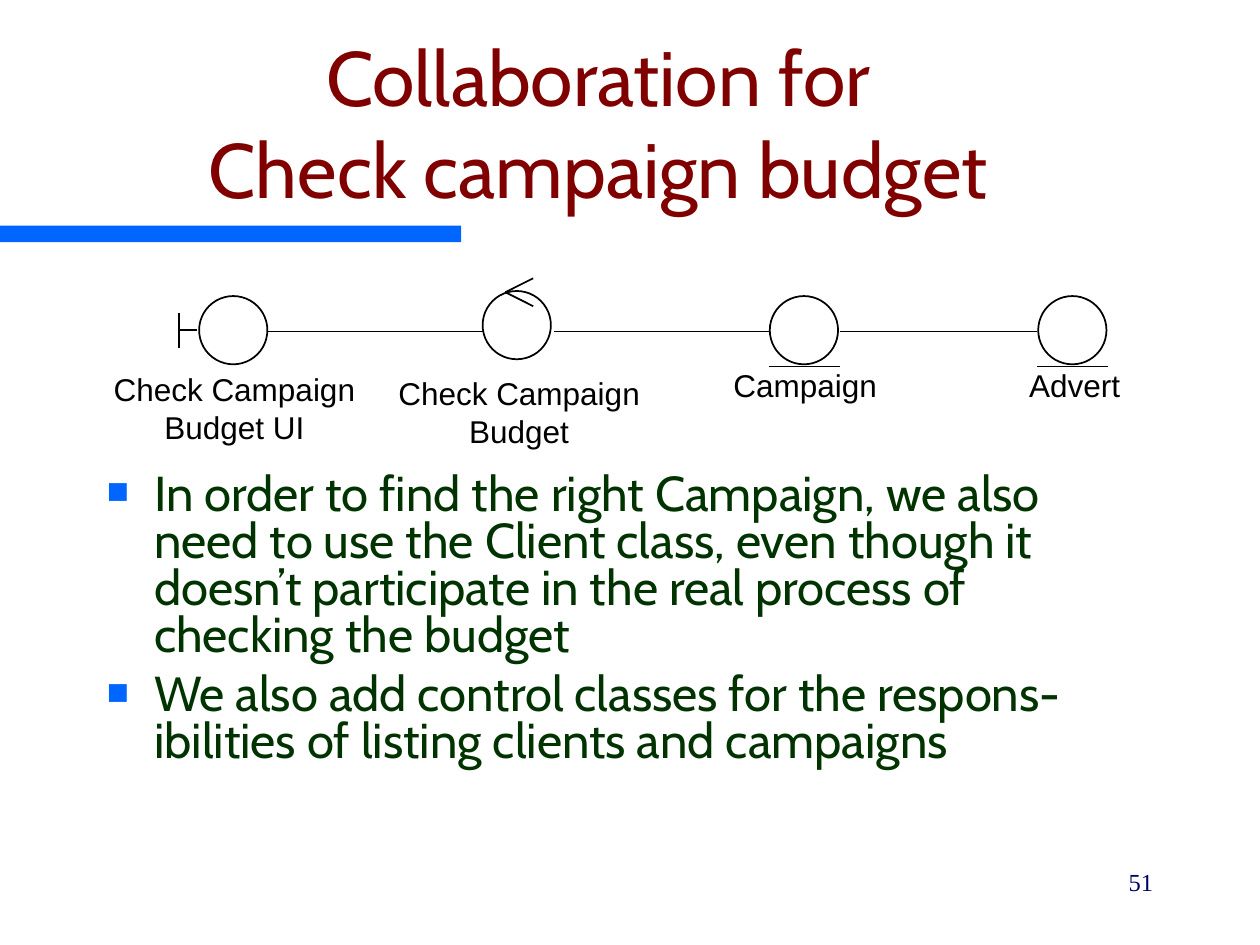
from lxml import etree
from pptx import Presentation
from pptx import util as u
from pptx.dml.color import RGBColor
from pptx.enum import shapes, text
from pptx.oxml import ns

Pt = u.Pt
COLORS = {
    "bar": "0066FF", "title": "800000", "body": "003300",
    "ink": "000000", "paper": "FFFFFF", "number": "000066",
}
CIRCLE = 39
ASSOCIATION_Y = 189.4

# Character and paragraph values for each kind of text
FORMATS = {
    "title": ({"name": "Cabin", "size": Pt(44)},
              {"alignment": text.PP_ALIGN.CENTER}),
    "body": ({"name": "Cabin", "size": Pt(28)},
             {"line_spacing": 0.8, "space_before": Pt(7)}),
    "ink": ({"name": "Arial", "size": Pt(18)},
            {"alignment": text.PP_ALIGN.CENTER, "space_before": Pt(11.2)}),
    "number": ({"name": "Times New Roman", "size": Pt(14)},
               {"alignment": text.PP_ALIGN.RIGHT, "space_before": Pt(8.8)}),
}

# Symbol kind, circle left and top, label left and top, label height, label
ROLES = [
    ("boundary", 113.8, 169.2, 57.6, 208.1, 50.4, "Check Campaign Budget UI"),
    ("control", 275.8, 166.3, 220.3, 210.2, 50.4, "Check Campaign Budget"),
    ("entity", 439.9, 169.2, 383.8, 205.9, 28.8, "Campaign"),
    ("entity", 593.3, 169.2, 537.8, 205.9, 28.8, "Advert"),
]
ASSOCIATIONS = [(153.4, 275.8), (316.8, 449.3), (480.2, 592.6)]
RESPONSIBILITIES = [
    "In order to find the right Campaign, we also need to use the Client class, "
    "even though it doesn’t participate in the real process of checking the budget",
    "We also add control classes for the respons-ibilities of listing clients "
    "and campaigns",
]


def color(key):
    return RGBColor.from_string(COLORS[key])


def set_values(target, values):
    for key, value in values.items():
        setattr(target, key, value)


def add_text(slide, box, paragraphs, kind, anchor=text.MSO_ANCHOR.TOP):
    frame = slide.shapes.add_textbox(*map(Pt, box)).text_frame
    set_values(frame, {"word_wrap": True, "vertical_anchor": anchor})
    font_values, paragraph_values = FORMATS[kind]
    for index, wording in enumerate(paragraphs):
        paragraph = frame.add_paragraph() if index else frame.paragraphs[0]
        paragraph.text = wording
        set_values(paragraph, paragraph_values)
        for run in paragraph.runs:
            set_values(run.font, font_values)
            run.font.color.rgb = color(kind)
    return frame


def add_bullet(paragraph):
    properties = paragraph._p.get_or_add_pPr()
    properties.set("marL", str(Pt(27)))
    properties.set("indent", str(-Pt(27)))
    bullet_color = etree.SubElement(properties, ns.qn("a:buClr"))
    etree.SubElement(bullet_color, ns.qn("a:srgbClr"), val=COLORS["bar"])
    etree.SubElement(properties, ns.qn("a:buSzPct"), val="75000")
    etree.SubElement(properties, ns.qn("a:buFont"), typeface="Arial")
    etree.SubElement(properties, ns.qn("a:buChar"), char="■")


def add_shape(slide, preset, box, fill, outlined=False):
    shape = slide.shapes.add_shape(preset, *map(Pt, box))
    shape.shadow.inherit = False
    shape.fill.solid()
    shape.fill.fore_color.rgb = color(fill)
    if outlined:
        shape.line.color.rgb = color("ink")
        shape.line.width = Pt(1)
    else:
        shape.line.fill.background()


def add_line(slide, start, end, width=1):
    line = slide.shapes.add_connector(
        shapes.MSO_CONNECTOR.STRAIGHT, *map(Pt, (*start, *end)))
    line.line.color.rgb = color("ink")
    line.line.width = Pt(width)
    etree.SubElement(line._element.spPr, ns.qn("a:effectLst"))


def add_role(slide, kind, left, top, label_left, label_top, label_height, label):
    add_shape(slide, shapes.MSO_SHAPE.OVAL, (left, top, CIRCLE, CIRCLE),
              "paper", outlined=True)
    if kind == "boundary":
        wall, middle = left - 11.6, top + CIRCLE / 2
        add_line(slide, (wall, middle - 10), (wall, middle + 10))
        add_line(slide, (wall, middle), (left - 1, middle))
    elif kind == "control":
        tip = (left + 13, top + 0.7)
        for rise in (-8, 8):
            add_line(slide, tip, (tip[0] + 15.9, tip[1] + rise))
    else:
        base = top + CIRCLE + 1.2
        add_line(slide, (left - 0.7, base), (left + CIRCLE + 1, base))
    add_text(slide, (label_left, label_top, 152.6, label_height), [label], "ink")


def main():
    deck = Presentation()
    deck.slide_width, deck.slide_height = Pt(720), Pt(540)
    slide = deck.slides.add_slide(deck.slide_layouts[6])

    # Heading with its bar
    add_shape(slide, shapes.MSO_SHAPE.RECTANGLE, (0, 129, 263.5, 9.4), "bar")
    add_text(slide, (18, 36, 648, 90),
             ["Collaboration for\vCheck campaign budget"], "title",
             text.MSO_ANCHOR.BOTTOM)

    # Explanation
    explanation = add_text(slide, (54, 267.1, 612, 213), RESPONSIBILITIES, "body")
    for paragraph in explanation.paragraphs:
        add_bullet(paragraph)

    # Collaboration: associations behind the roles
    for start, end in ASSOCIATIONS:
        add_line(slide, (start, ASSOCIATION_Y), (end, ASSOCIATION_Y), 0.75)
    for role in ROLES:
        add_role(slide, *role)

    # Page number
    add_text(slide, (516, 492, 150, 36), ["51"], "number")
    deck.save("out.pptx")


if __name__ == "__main__":
    main()
